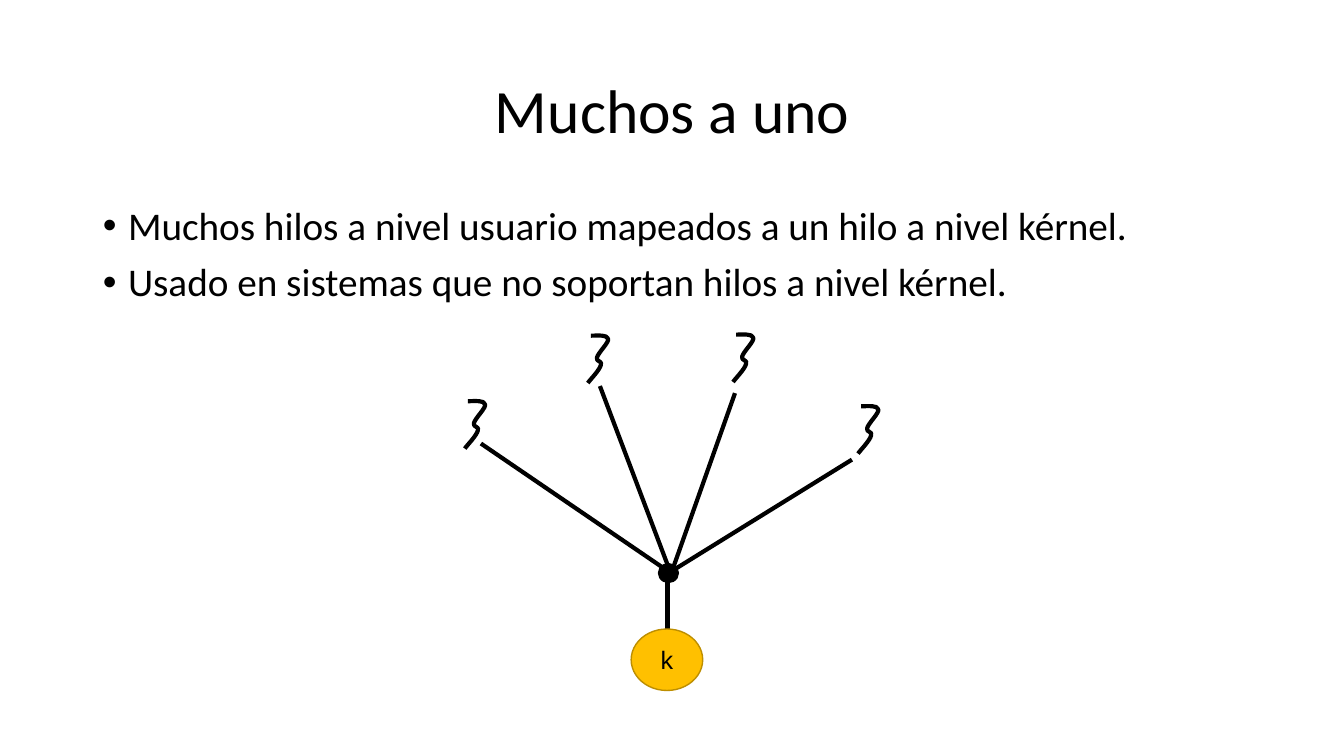
from pptx import Presentation
from pptx.dml.color import RGBColor
from pptx.enum import shapes, text
from pptx.oxml.ns import qn
from pptx.util import Inches, Pt
from lxml import etree

BLACK = RGBColor(0, 0, 0)
WHITE = RGBColor(255, 255, 255)
AMBER = RGBColor(0xFF, 0xC0, 0x00)
DARK_AMBER = RGBColor(0xBD, 0x8E, 0x00)

# Thread squiggle: size, start point and cubic curves, in inches
SQUIGGLE_SIZE = (0.21, 0.48)
SQUIGGLE_START = (0.03, 0.01)
SQUIGGLE_CURVES = [
    ((0.11, 0.01), (0.19, 0.0), (0.2, 0.04)),
    ((0.22, 0.07), (0.1, 0.18), (0.09, 0.23)),
    ((0.08, 0.27), (0.15, 0.26), (0.13, 0.3)),
    ((0.12, 0.35), (0.02, 0.45), (0.0, 0.48)),
]


def write(p, words, size, font="Calibri", color=BLACK, align=None,
          spacing=None, before=None):
    """Put formatted words in a paragraph."""
    r = p.add_run()
    r.text = words
    r.font.size, r.font.name = Pt(size), font
    r.font.color.rgb = color
    p.alignment = align
    p.line_spacing = spacing
    if before is not None:
        p.space_before = Pt(before)


def place(s, box):
    """Move a shape to a box given in inches."""
    s.left, s.top, s.width, s.height = map(Inches, box)


def add_title(slide, box, words):
    """Fill the title placeholder."""
    s = slide.shapes.title
    place(s, box)
    tf = s.text_frame
    tf.auto_size = text.MSO_AUTO_SIZE.NONE
    tf.vertical_anchor = text.MSO_ANCHOR.MIDDLE
    write(tf.paragraphs[0], words, 44, align=text.PP_ALIGN.CENTER, spacing=0.9)


def add_list(slide, box, items):
    """Fill the body placeholder with bulleted items."""
    s = slide.placeholders[1]
    place(s, box)
    tf = s.text_frame
    tf.auto_size = text.MSO_AUTO_SIZE.NONE
    for i, item in enumerate(items):
        p = tf.add_paragraph() if i else tf.paragraphs[0]
        write(p, item, 28, align=text.PP_ALIGN.LEFT, spacing=0.9, before=10)
        pPr = p._p.get_or_add_pPr()
        pPr.set("marL", str(Inches(0.25)))
        pPr.set("indent", str(-Inches(0.25)))
        etree.SubElement(pPr, qn("a:buFont")).set("typeface", "Arial")
        etree.SubElement(pPr, qn("a:buChar")).set("char", "•")


def add_line(slide, start, end):
    """Draw a thick black line without shadow."""
    c = slide.shapes.add_connector(shapes.MSO_CONNECTOR.STRAIGHT,
                                   *map(Inches, (*start, *end)))
    c.line.color.rgb, c.line.width = BLACK, Pt(3)
    etree.SubElement(c._element.spPr, qn("a:effectLst"))


def add_oval(slide, box, fill, line, width):
    """Draw a filled ellipse."""
    s = slide.shapes.add_shape(shapes.MSO_SHAPE.OVAL, *map(Inches, box))
    s.shadow.inherit = False
    s.fill.solid()
    s.fill.fore_color.rgb = fill
    s.line.color.rgb, s.line.width = line, Pt(width)
    return s


def add_squiggle(slide, x, y):
    """Draw a user thread as an open outline of cubic curves."""
    fb = slide.shapes.build_freeform(*map(Inches, SQUIGGLE_START))
    fb.add_line_segments([tuple(map(Inches, curve[-1]))
                          for curve in SQUIGGLE_CURVES], close=False)
    s = fb.convert_to_shape()
    place(s, (x, y, *SQUIGGLE_SIZE))
    outline = s._element.spPr.find(".//" + qn("a:path"))
    for key, length in zip("wh", SQUIGGLE_SIZE):
        outline.set(key, str(Inches(length)))
    for segment in list(outline):
        outline.remove(segment)
    steps = [("a:moveTo", [SQUIGGLE_START])]
    steps += [("a:cubicBezTo", curve) for curve in SQUIGGLE_CURVES]
    for tag, points in steps:
        segment = etree.SubElement(outline, qn(tag))
        for px, py in points:
            etree.SubElement(segment, qn("a:pt"),
                             x=str(Inches(px)), y=str(Inches(py)))
    s.shadow.inherit = False
    s.fill.background()
    s.line.color.rgb, s.line.width = BLACK, Pt(3)


def add_thread_diagram(slide, box):
    """Draw user threads that meet in one kernel thread."""
    left, top = box[:2]
    for x, y in [(1.22, 0.01), (2.66, 0), (0, 0.66), (3.9, 0.71)]:
        add_squiggle(slide, left + x, top + y)
    links = [
        ((0.16, 1.09), (2.05, 2.38)),
        ((2.03, 2.37), (3.84, 1.25)),
        ((2.04, 2.37), (1.34, 0.52)),
        ((2.05, 2.37), (2.68, 0.59)),
    ]
    for start, end in links:
        add_line(slide, (left + start[0], top + start[1]),
                 (left + end[0], top + end[1]))
    add_oval(slide, (left + 1.92, top + 2.28, 0.2, 0.19), BLACK, BLACK, 0.75)
    add_line(slide, (left + 2.01, top + 2.46), (left + 2.01, top + 2.96))
    kernel = add_oval(slide, (left + 1.65, top + 2.93, 0.71, 0.61),
                      AMBER, DARK_AMBER, 1)
    tf = kernel.text_frame
    tf.word_wrap = False
    tf.vertical_anchor = text.MSO_ANCHOR.MIDDLE
    write(tf.paragraphs[0], "k", 18, font="Arial", align=text.PP_ALIGN.CENTER)


def build():
    """Build and save the slide."""
    prs = Presentation()
    prs.slide_width, prs.slide_height = Inches(13.33), Inches(7.5)
    slide = prs.slides.add_slide(prs.slide_layouts[1])
    slide.background.fill.solid()
    slide.background.fill.fore_color.rgb = WHITE
    add_title(slide, (0.92, 0.4, 11.5, 1.45), "Muchos a uno")
    add_list(slide, (0.92, 2, 11.5, 4.76), [
        "Muchos hilos a nivel usuario mapeados a un hilo a nivel kérnel.",
        "Usado en sistemas que no soportan hilos a nivel kérnel.",
    ])
    add_thread_diagram(slide, (4.61, 3.31, 4.11, 3.54))
    prs.save("out.pptx")


build()
